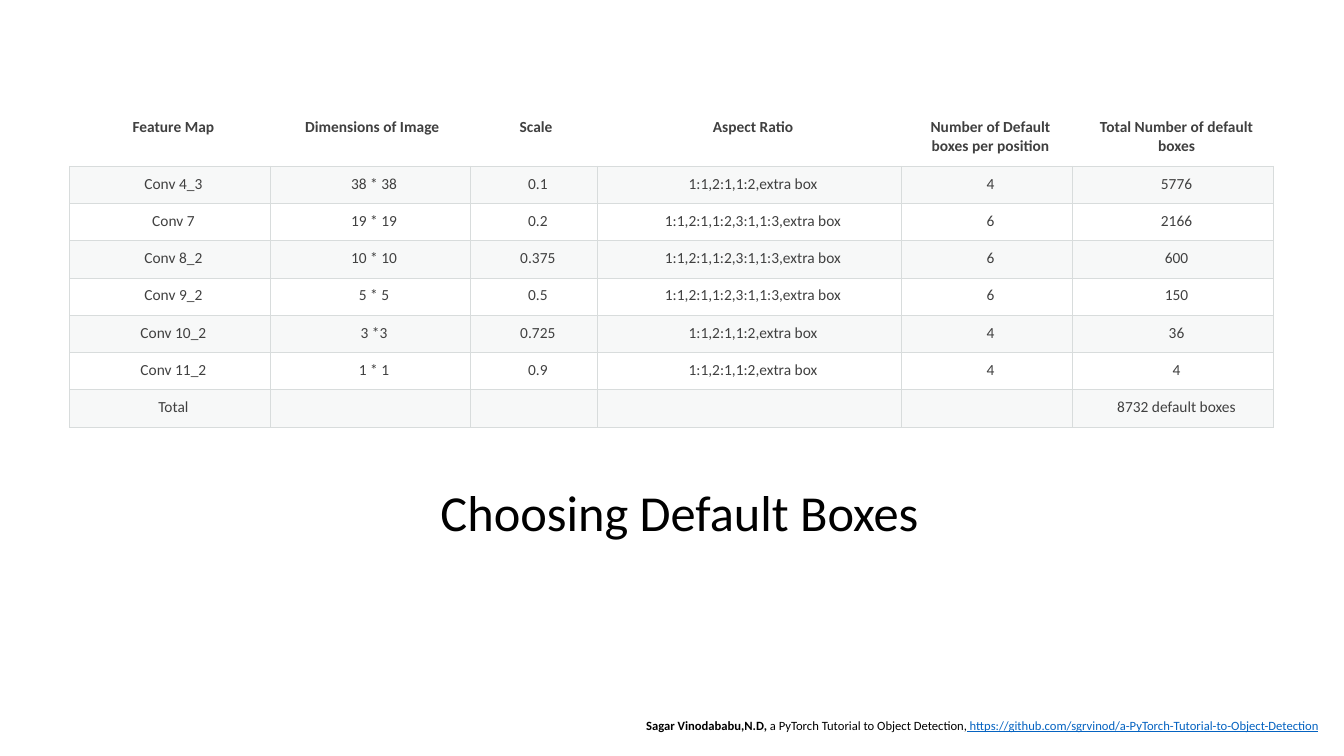
from lxml import etree
from pptx import Presentation
from pptx import util as u
from pptx.dml.color import RGBColor
from pptx.enum import text
from pptx.oxml.ns import qn

PX = 9144  # EMU per px, 100 px to the inch
FONT = "Calibri"
COLORS = {
    "text": "000000",
    "cell": "404040",
    "border": "D8DCDC",
    "band": "D8DEDC",
    "link": "0563C1",
}
COLUMN_WIDTHS = [199, 199, 126, 301, 170, 199]
HEADER_HEIGHT, ROW_HEIGHT = 56, 37
SHORT_RATIOS = "1:1,2:1,1:2,extra box"
LONG_RATIOS = "1:1,2:1,1:2,3:1,1:3,extra box"
ROWS = [
    ["Feature Map", "Dimensions of Image ", "Scale ", "Aspect Ratio",
     "Number of Default boxes per position", "Total Number of default boxes"],
    ["Conv 4_3", "38 * 38", "0.1", SHORT_RATIOS, "4", "5776"],
    ["Conv 7", "19 * 19", "0.2", LONG_RATIOS, "6", "2166"],
    ["Conv 8_2", "10 * 10", "0.375", LONG_RATIOS, "6", "600"],
    ["Conv 9_2", "5 * 5", "0.5", LONG_RATIOS, "6", "150"],
    ["Conv 10_2", "3 *3", "0.725", SHORT_RATIOS, "4", "36"],
    ["Conv 11_2", "1 * 1", "0.9", SHORT_RATIOS, "4", "4"],
    ["Total", "", "", "", "", "8732 default boxes"],
]


def px(length):
    return u.Emu(length * PX)


def set_font(font, size, color, bold=False):
    font.name = FONT
    font.size = u.Pt(size)
    font.bold = bold
    font.color.rgb = RGBColor.from_string(COLORS[color])


def set_borders(cell, visible):
    properties = cell._tc.get_or_add_tcPr()
    for side in ("lnL", "lnR", "lnT", "lnB"):
        line = etree.SubElement(properties, qn(f"a:{side}"), w=str(u.Pt(0.75)))
        if side in visible:
            fill = etree.SubElement(line, qn("a:solidFill"))
            etree.SubElement(fill, qn("a:srgbClr"), val=COLORS["border"])
        else:
            etree.SubElement(line, qn("a:noFill"))


def fill_band(cell):
    cell.fill.solid()
    cell.fill.fore_color.rgb = RGBColor.from_string(COLORS["band"])
    color = cell._tc.tcPr.find(qn("a:solidFill")).find(qn("a:srgbClr"))
    etree.SubElement(color, qn("a:alpha"), val="20000")


def format_cell(cell, content, row):
    is_header = row == 0
    cell.margin_left = px(15)
    cell.margin_right = cell.margin_top = cell.margin_bottom = px(8)
    paragraph = cell.text_frame.paragraphs[0]
    if content:
        paragraph.text = content
        paragraph.alignment = text.PP_ALIGN.CENTER
        set_font(paragraph.font, 11, "cell", bold=is_header)
    else:  # keeps an empty cell from stretching its row
        etree.SubElement(paragraph._p, qn("a:endParaRPr"), sz="1100")
    set_borders(cell, ["lnB"] if is_header else ["lnL", "lnR", "lnT", "lnB"])
    if row % 2:
        fill_band(cell)
    else:
        cell.fill.background()


def add_feature_table(slide, left, top):
    height = HEADER_HEIGHT + ROW_HEIGHT * (len(ROWS) - 1)
    table = slide.shapes.add_table(
        len(ROWS), len(COLUMN_WIDTHS), px(left), px(top),
        px(sum(COLUMN_WIDTHS)), px(height)).table
    table.first_row = table.horz_banding = False
    for column, width in zip(table.columns, COLUMN_WIDTHS):
        column.width = px(width)
    for row, contents in enumerate(ROWS):
        table.rows[row].height = px(ROW_HEIGHT if row else HEADER_HEIGHT)
        for column, content in enumerate(contents):
            format_cell(table.cell(row, column), content, row)


def add_title(slide, content, left, top, width, height):
    title = slide.shapes.title
    title.left, title.top = px(left), px(top)
    title.width, title.height = px(width), px(height)
    frame = title.text_frame
    frame.auto_size = text.MSO_AUTO_SIZE.NONE
    frame.vertical_anchor = text.MSO_ANCHOR.TOP
    paragraph = frame.paragraphs[0]
    paragraph.text = content
    paragraph.alignment = text.PP_ALIGN.CENTER
    set_font(paragraph.font, 36, "text")


def add_citation(slide, left, top, width, height):
    box = slide.shapes.add_textbox(px(left), px(top), px(width), px(height))
    box.text_frame.word_wrap = True
    paragraph = box.text_frame.paragraphs[0]
    parts = [
        ("Sagar Vinodababu,N.D,", "text", True, False),
        (" a PyTorch Tutorial to Object Detection,", "text", False, False),
        (" https://github.com/sgrvinod/a-PyTorch-Tutorial-to-Object-Detection",
         "link", False, True),
    ]
    for content, color, bold, underline in parts:
        run = paragraph.add_run()
        run.text = content
        set_font(run.font, 9, color, bold)
        run.font.underline = underline


def main():
    presentation = Presentation()
    presentation.slide_width, presentation.slide_height = px(1333), px(750)
    title_only = presentation.slide_layouts[5]
    slide = presentation.slides.add_slide(title_only)

    # Table of feature maps, then the title and source below it
    add_feature_table(slide, 69, 109)
    add_title(slide, "Choosing Default Boxes", 298, 472, 752, 71)
    add_citation(slide, 631, 707, 702, 25)

    presentation.save("out.pptx")


if __name__ == "__main__":
    main()
